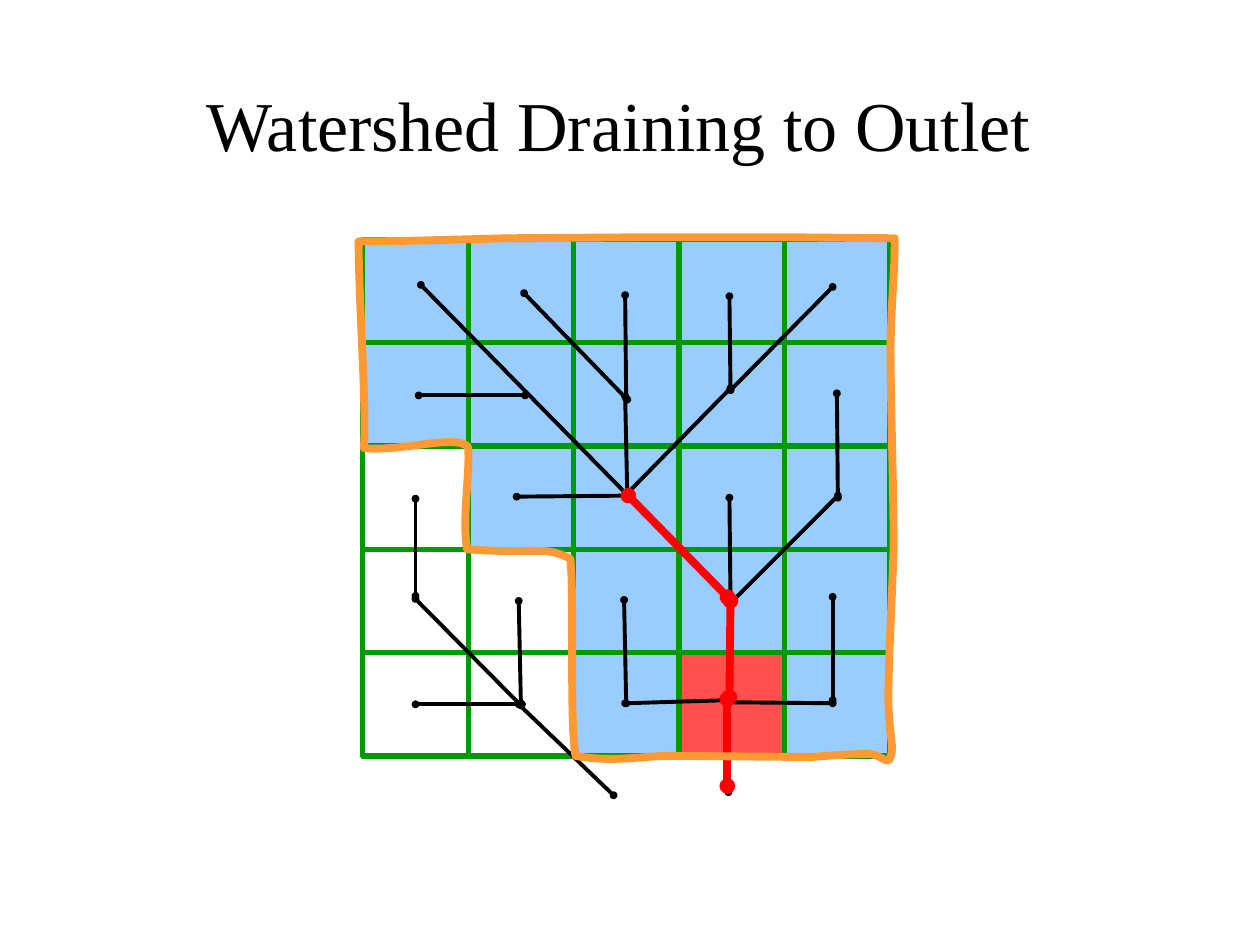
import pptx
import pptx.util
import pptx.oxml
import pptx.oxml.ns
import pptx.dml.color
import pptx.enum.shapes
import pptx.enum.text

COLORS = {"ink": "000000", "grid": "009900", "basin": "99CCFF",
          "outlet": "FF5050", "channel": "FF0000", "divide": "FF9933"}
FONT = "Times New Roman"
WIDTH, HEIGHT = pptx.util.Inches(10), pptx.util.Inches(7.5)

# B: cell inside the watershed, O: outlet cell, dot: cell draining elsewhere
CELLS = ["BBBBB", "BBBBB", ".BBBB", "..BBB", "..BOB"]
CELL_FILLS = {"B": "basin", "O": "outlet"}

# Each path is start column, start row, end column, end row
FLOW_PATHS = [
    (0.55, 0.44, 3.49, 3.49), (1.53, 0.52, 2.51, 1.55), (0.5, 2.51, 0.5, 3.45),
    (3.46, 4.48, 3.47, 5.35), (0.5, 3.48, 1.5, 4.51), (0.5, 4.5, 1.51, 4.5),
    (2.49, 4.49, 3.46, 4.46), (1.48, 4.5, 2.38, 5.38), (1.48, 3.5, 1.5, 4.49),
    (1.46, 2.49, 2.5, 2.48), (0.53, 1.51, 1.54, 1.51), (2.49, 0.54, 2.5, 1.54),
    (2.49, 1.52, 2.51, 2.46), (4.46, 3.46, 4.46, 4.46), (2.48, 3.49, 2.5, 4.49),
    (3.48, 0.55, 3.49, 1.45), (3.48, 2.5, 3.49, 3.48), (4.46, 4.49, 3.48, 4.48),
    (4.5, 1.49, 4.51, 2.5), (3.49, 1.44, 2.49, 2.48), (4.46, 0.46, 3.49, 1.46),
    (4.51, 2.48, 3.52, 3.49), (3.48, 3.49, 3.48, 4.46),
]
CHANNEL_PATHS = [(3.46, 4.45, 3.46, 5.29), (3.49, 3.5, 3.48, 4.43),
                 (2.52, 2.48, 3.46, 3.46)]

# Watershed divide: one point is a straight side, three points are a curve
DIVIDE_START = (4.13, 5.01)
DIVIDE = [
    [(3.01, 5)],
    [(2.66, 4.99), (2.42, 5.07), (2.02, 5)],
    [(1.96, 4.66), (2.01, 3.45), (1.97, 3.09)],
    [(1.71, 2.96), (1.69, 3.05), (0.99, 3)],
    [(0.94, 2.7), (1.02, 2.26), (1, 2.01)],
    [(0.89, 1.88), (0.36, 2.06), (0.01, 2.02)],
    [(0.04, 1.66), (-0.04, 0.59), (-0.04, 0.02)],
    [(0.42, 0.02), (0.93, 0), (1.38, -0.01)],
    [(2.67, -0.02)], [(4.02, -0.02)], [(5.05, -0.01)],
    [(5.05, 0.34), (5.02, 0.54), (5.01, 1.04)],
    [(5.01, 1.54), (5.04, 2.43), (5.04, 2.99)],
    [(5.02, 3.56), (4.99, 4.11), (4.99, 4.44)],
    [(4.99, 4.78), (5.05, 4.91), (5.01, 5.01)],
    [(4.98, 5.1), (4.92, 4.98), (4.8, 4.98)],
    [(4.68, 4.98), (4.38, 5), (4.27, 5.01)],
    [(4.16, 5.01), (4.34, 5.01), (4.13, 5.01)],
]


def rgb(name):
    return pptx.dml.color.RGBColor.from_string(COLORS[name])


def drawing_element(tag, attributes=""):
    return pptx.oxml.parse_xml(
        f'<a:{tag} {pptx.oxml.ns.nsdecls("a")} {attributes}/>')


def set_line(shape, color, points):
    shape.line.color.rgb = rgb(color)
    shape.line.width = pptx.util.Pt(points)


def write_text(shape, text, size, color, align):
    frame = shape.text_frame
    frame.word_wrap = False
    frame.auto_size = pptx.enum.text.MSO_AUTO_SIZE.SHAPE_TO_FIT_TEXT
    frame.vertical_anchor = pptx.enum.text.MSO_ANCHOR.TOP
    para = frame.paragraphs[0]
    para.alignment = align
    span = para.add_run()
    span.text = text
    span.font.name = FONT
    span.font.size = pptx.util.Pt(size)
    span.font.color.rgb = rgb(color)


def locate(box, column, row):
    """Turn a column and row of the grid into a place on the page."""
    left, top, width, height = box
    return (round(left + width * column / len(CELLS[0])),
            round(top + height * row / len(CELLS)))


def place_title(page, box):
    title = page.shapes.title
    title.left, title.top, title.width, title.height = box
    write_text(title, "Watershed Draining to Outlet", size=40, color="ink",
               align=pptx.enum.text.PP_ALIGN.LEFT)


def place_cells(page, box):
    for row, kinds in enumerate(CELLS):
        for column, kind in enumerate(kinds):
            left, top = locate(box, column, row)
            right, bottom = locate(box, column + 1, row + 1)
            cell = page.shapes.add_shape(pptx.enum.shapes.MSO_SHAPE.RECTANGLE,
                                         left, top, right - left, bottom - top)
            cell.shadow.inherit = False
            if kind in CELL_FILLS:
                cell.fill.solid()
                cell.fill.fore_color.rgb = rgb(CELL_FILLS[kind])
            else:
                cell.fill.background()
            set_line(cell, "grid", 3)


def place_paths(page, box, paths, color, points):
    for column, row, end_column, end_row in paths:
        path_line = page.shapes.add_connector(
            pptx.enum.shapes.MSO_CONNECTOR.STRAIGHT,
            *locate(box, column, row), *locate(box, end_column, end_row))
        set_line(path_line, color, points)
        # Small round dots at both ends
        outline = path_line.line._get_or_add_ln()
        for end in ("headEnd", "tailEnd"):
            outline.append(drawing_element(end, 'type="oval" w="sm" len="sm"'))
        path_line._element.spPr.append(drawing_element("effectLst"))


def place_divide(page, box):
    points = [locate(box, *point) for piece in DIVIDE for point in piece]
    builder = page.shapes.build_freeform(*locate(box, *DIVIDE_START))
    builder.add_line_segments(points, close=True)
    divide = builder.convert_to_shape()
    # Join each group of three points into one curve
    sides = iter(divide._element.findall(".//" + pptx.oxml.ns.qn("a:lnTo")))
    for piece in DIVIDE:
        group = [next(sides) for point in piece]
        if len(group) == 3:
            curve = drawing_element("cubicBezTo")
            group[0].addprevious(curve)
            for side in group:
                curve.append(side[0])
                side.getparent().remove(side)
    divide.shadow.inherit = False
    divide.fill.background()
    set_line(divide, "divide", 4.5)
    divide.line._get_or_add_ln().append(drawing_element("round"))


def place_watershed(page, box):
    place_cells(page, box)
    place_paths(page, box, FLOW_PATHS, "ink", 2.25)
    place_paths(page, box, CHANNEL_PATHS, "channel", 4.5)
    place_divide(page, box)


def main():
    deck = pptx.Presentation()
    deck.slide_width, deck.slide_height = WIDTH, HEIGHT
    page = deck.slides.add_slide(deck.slide_layouts[5])
    inches = pptx.util.Inches
    place_title(page, (inches(1.54), inches(0.6), inches(6.79), inches(0.77)))
    place_watershed(page, (inches(2.88), inches(1.9), inches(4.18), inches(4.1)))
    deck.save("out.pptx")


if __name__ == "__main__":
    main()
